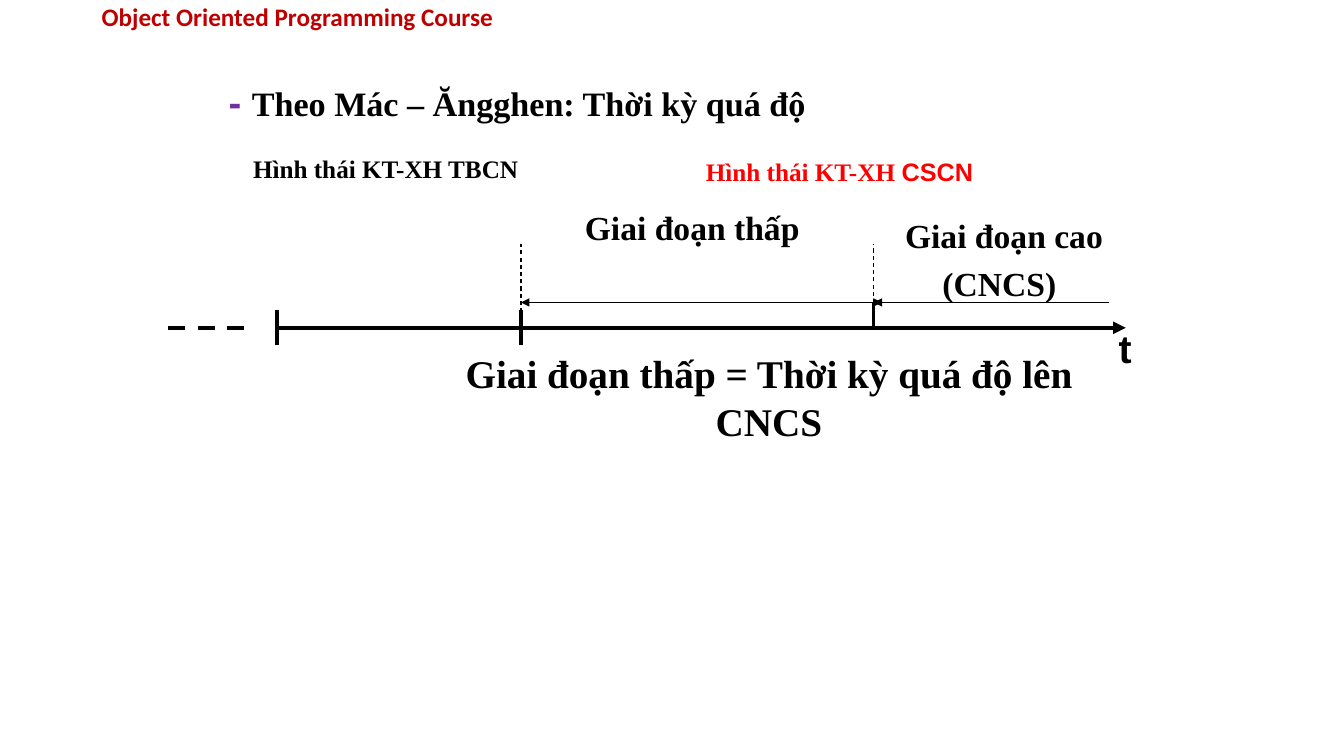
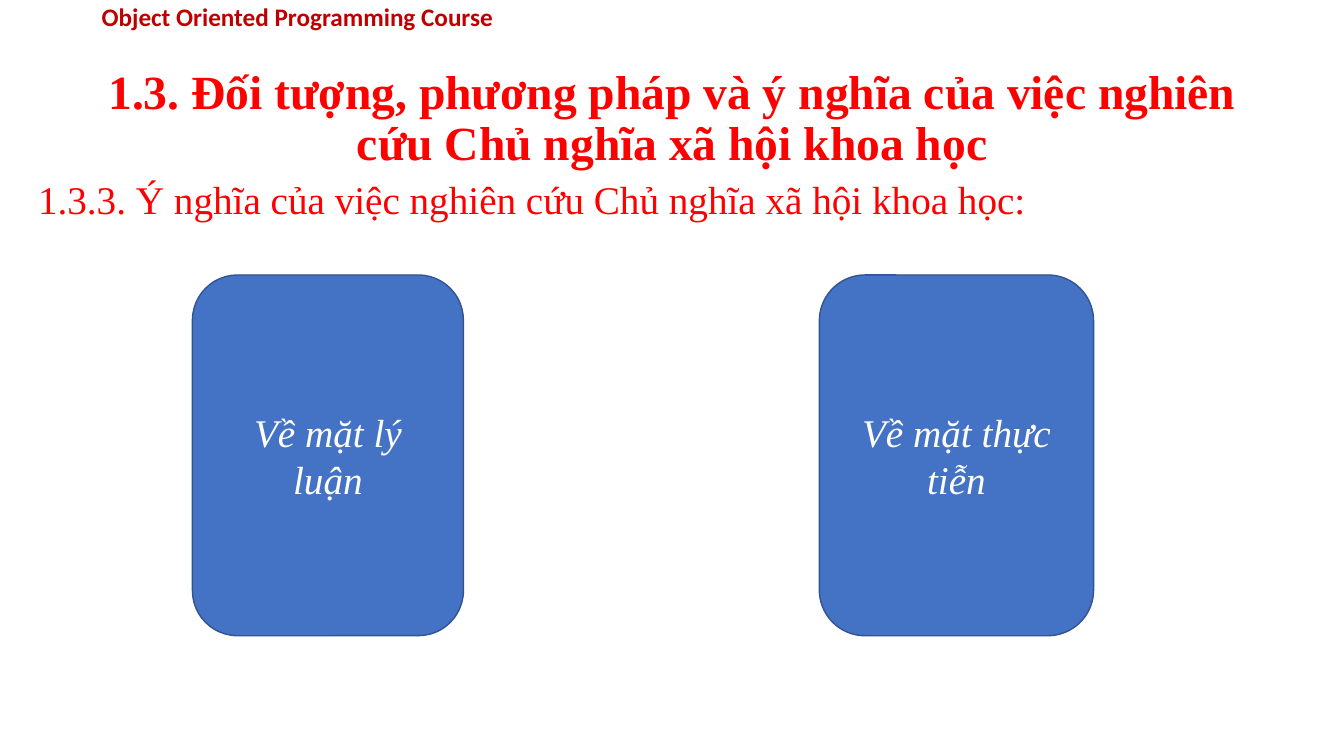
from dataclasses import dataclass

from lxml import etree
from pptx import Presentation
from pptx.dml.color import RGBColor
from pptx.enum.dml import MSO_LINE_DASH_STYLE as Dash
from pptx.enum.shapes import MSO_CONNECTOR as Connector, MSO_SHAPE as Preset
from pptx.enum.text import MSO_ANCHOR as Anchor, PP_ALIGN as Align
from pptx.oxml.ns import qn
from pptx.slide import Slide
from pptx.util import Cm, Pt

# Shared style
SERIF, SANS, HEADER_FONT = "Times New Roman", "Arial", "Calibri"
BLACK, WHITE, RED = "000000", "FFFFFF", "FF0000"
DARK_RED, PURPLE = "C00000", "7030A0"
CARD_FILL, CARD_LINE = "4472C4", "325491"

# Timeline positions in cm
AXIS_Y, SPAN_Y = 8.26, 7.62
CAPITALISM_X, LOW_STAGE_X, HIGH_STAGE_X = 6.98, 13.13, 22.02
TICK_TOP, TICK_BOTTOM, GUIDE_TOP = 7.82, 8.69, 6.15


@dataclass(frozen=True)
class TextRun:
    text: str
    size: float
    color: str = BLACK
    font: str = SERIF
    bold: bool = True
    italic: bool = False


@dataclass(frozen=True)
class TextBlock:
    """A box in cm with paragraphs made of runs."""
    left: float
    top: float
    width: float
    height: float
    paragraphs: tuple[tuple[TextRun, ...], ...]
    align: Align = Align.CENTER
    anchor: Anchor = Anchor.TOP
    space_before: float = 0
    line_spacing: float = 1.0
    bottom_inset: float = 0.13
    preset: Preset | None = None
    fill: str | None = None
    outline: str | None = None


@dataclass(frozen=True)
class Line:
    start: tuple[float, float]
    end: tuple[float, float]
    width: float
    dashed: bool = False
    head: bool = False
    tail: bool = False


HEADER = TextBlock(2.31, -0.08, 30.15, 1.02,
                   ((TextRun("Object Oriented Programming Course", 18, DARK_RED, HEADER_FONT),),),
                   align=Align.LEFT, preset=Preset.RECTANGLE, fill=WHITE)

TIMELINE = (
    # Axis, its dashed past and the ticks
    Line((CAPITALISM_X, AXIS_Y), (28.37, AXIS_Y), 3, tail=True),
    Line((4.24, AXIS_Y), (6.15, AXIS_Y), 3, dashed=True),
    *(Line((x, TICK_TOP), (x, TICK_BOTTOM), 3) for x in (CAPITALISM_X, LOW_STAGE_X)),
    Line((HIGH_STAGE_X, AXIS_Y), (HIGH_STAGE_X, SPAN_Y), 2.25),
    # Guides and stage spans
    Line((LOW_STAGE_X, 8.05), (LOW_STAGE_X, GUIDE_TOP), 0.75, dashed=True),
    Line((HIGH_STAGE_X, TICK_TOP), (HIGH_STAGE_X, GUIDE_TOP), 0.75, dashed=True),
    Line((LOW_STAGE_X, SPAN_Y), (22.22, SPAN_Y), 0.75, head=True, tail=True),
    Line((HIGH_STAGE_X, SPAN_Y), (27.94, SPAN_Y), 0.75, head=True),
)

TIMELINE_TEXTS = (
    TextBlock(5.51, 1.9, 21.59, 1.47,
              ((TextRun("- ", 27.3, PURPLE, SANS),
                TextRun("Theo Mác – Ăngghen: Thời kỳ quá độ", 24.4)),),
              align=Align.LEFT, anchor=Anchor.BOTTOM, bottom_inset=0.25),
    TextBlock(5.59, 3.73, 8.26, 1.02, ((TextRun("Hình thái KT-XH TBCN", 18),),)),
    TextBlock(15.44, 3.81, 11.43, 1.02,
              ((TextRun("Hình thái KT-XH ", 18, RED), TextRun("CSCN", 18, RED, SANS)),)),
    TextBlock(12.9, 5.08, 9.09, 1.27, ((TextRun("Giai đoạn thấp", 24),),)),
    TextBlock(21.16, 5.28, 8.05, 2.51,
              ((TextRun(" ", 24, font=SANS, bold=False), TextRun("Giai đoạn cao", 24)),
               (TextRun("(CNCS)", 24),)), space_before=6),
    TextBlock(10.59, 8.69, 17.58, 2.64,
              ((TextRun("Giai đoạn thấp = Thời kỳ quá độ lên CNCS", 28),),)),
    TextBlock(27.94, 8.05, 0.84, 1.45, ((TextRun("t", 28, font=SANS),),), align=Align.LEFT),
)


def card(left: float, width: float, text: str) -> TextBlock:
    run = TextRun(text, 28, WHITE, bold=False, italic=True)
    return TextBlock(left, 6.93, width, 9.09, ((run,),), anchor=Anchor.MIDDLE,
                     preset=Preset.ROUNDED_RECTANGLE, fill=CARD_FILL, outline=CARD_LINE)


MEANING_TEXTS = (
    TextBlock(2.34, 1.17, 29.21, 3.68,
              ((TextRun("1.3. Đối tượng, phương pháp và ý nghĩa của việc nghiên cứu "
                        "Chủ nghĩa xã hội khoa học", 34, RED),),),
              anchor=Anchor.MIDDLE, line_spacing=0.9),
    TextBlock(0.71, 4.29, 28.96, 1.45,
              ((TextRun("1.3.3. Ý nghĩa của việc nghiên cứu Chủ nghĩa xã hội khoa học:",
                        28, RED, bold=False),),), align=Align.LEFT),
    card(4.85, 6.83, "Về mặt lý luận"),
    card(20.65, 6.91, "Về mặt thực tiễn"),
)


def rgb(color: str) -> RGBColor:
    return RGBColor.from_string(color)


def draw_block(slide: Slide, block: TextBlock) -> None:
    bounds = [Cm(value) for value in (block.left, block.top, block.width, block.height)]
    if block.preset is None:
        shape = slide.shapes.add_textbox(*bounds)
    else:
        shape = slide.shapes.add_shape(block.preset, *bounds)
        shape.shadow.inherit = False
        shape.fill.solid()
        shape.fill.fore_color.rgb = rgb(block.fill)
        if block.outline:
            shape.line.color.rgb = rgb(block.outline)
            shape.line.width = Pt(1)
        else:
            shape.line.fill.background()

    text_frame = shape.text_frame
    text_frame.word_wrap = True
    text_frame.vertical_anchor = block.anchor
    text_frame.margin_bottom = Cm(block.bottom_inset)
    for index, text_runs in enumerate(block.paragraphs):
        paragraph = text_frame.add_paragraph() if index else text_frame.paragraphs[0]
        paragraph.alignment = block.align
        paragraph.space_before = Pt(block.space_before)
        paragraph.line_spacing = block.line_spacing
        for text_run in text_runs:
            run = paragraph.add_run()
            run.text = text_run.text
            run.font.name = text_run.font
            run.font.size = Pt(text_run.size)
            run.font.bold = text_run.bold
            run.font.italic = text_run.italic
            run.font.color.rgb = rgb(text_run.color)


def draw_line(slide: Slide, line: Line) -> None:
    ends = [Cm(value) for value in (*line.start, *line.end)]
    connector = slide.shapes.add_connector(Connector.STRAIGHT, *ends)
    connector.line.color.rgb = rgb(BLACK)
    connector.line.width = Pt(line.width)
    if line.dashed:
        connector.line.dash_style = Dash.DASH
    # Arrowheads, then no shadow
    outline = connector.line._get_or_add_ln()
    for tag, wanted in (("a:headEnd", line.head), ("a:tailEnd", line.tail)):
        if wanted:
            etree.SubElement(outline, qn(tag), type="triangle")
    etree.SubElement(connector._element.spPr, qn("a:effectLst"))


def add_slide(presentation: Presentation, blocks: tuple[TextBlock, ...],
              lines: tuple[Line, ...] = ()) -> None:
    slide = presentation.slides.add_slide(presentation.slide_layouts[6])
    draw_block(slide, HEADER)
    for line in lines:
        draw_line(slide, line)
    for block in blocks:
        draw_block(slide, block)


def main() -> None:
    presentation = Presentation()
    presentation.slide_width, presentation.slide_height = Cm(33.87), Cm(19.05)
    add_slide(presentation, TIMELINE_TEXTS, TIMELINE)
    add_slide(presentation, MEANING_TEXTS)
    presentation.save("out.pptx")


if __name__ == "__main__":
    main()
